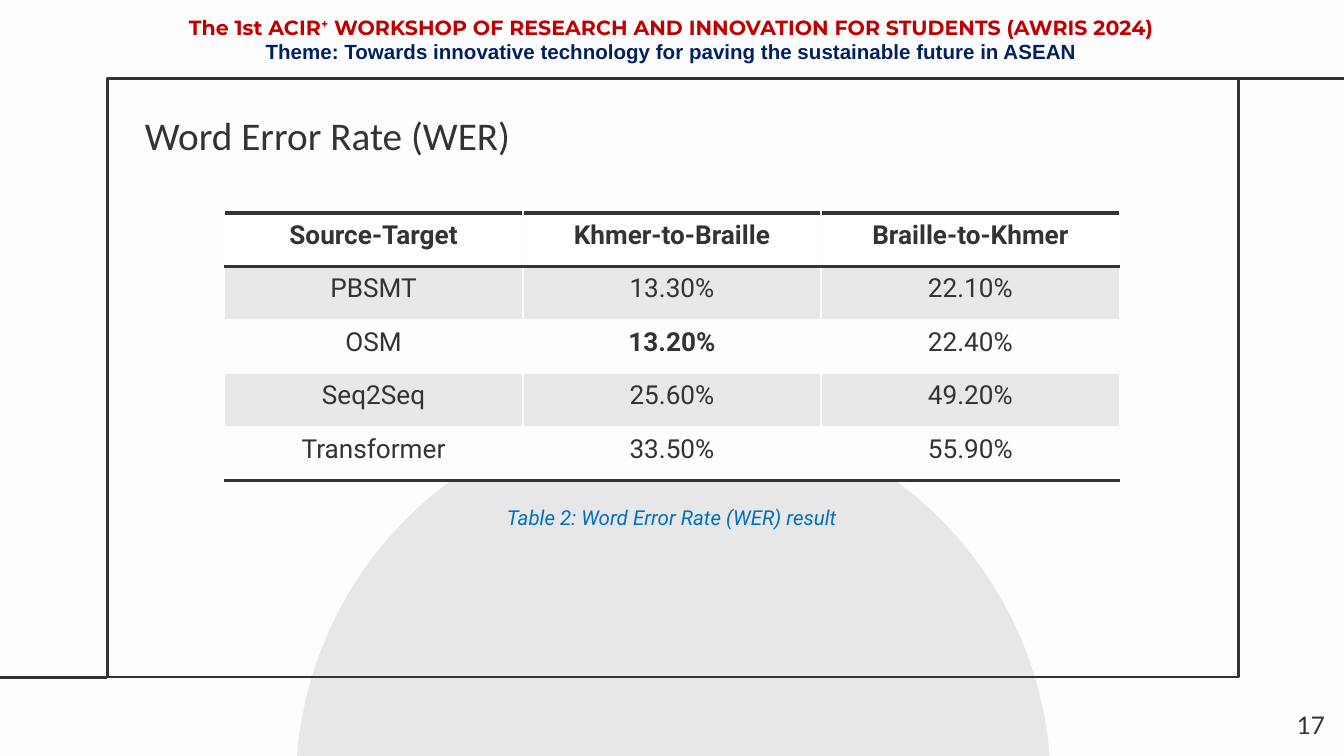
from lxml import etree
from pptx import Presentation
from pptx.dml.color import RGBColor
from pptx.enum.shapes import MSO_CONNECTOR, MSO_SHAPE
from pptx.enum.text import MSO_ANCHOR, PP_ALIGN
from pptx.oxml.ns import qn
from pptx.util import Cm, Pt

LEFT, MID, RIGHT = PP_ALIGN.LEFT, PP_ALIGN.CENTER, PP_ALIGN.RIGHT
TOP = MSO_ANCHOR.TOP
OVAL, RECT = MSO_SHAPE.OVAL, MSO_SHAPE.RECTANGLE
LINE = MSO_CONNECTOR.STRAIGHT

INK, PAPER, BAND, DISC = "333333", "FDFDFD", "E8E8E8", "E8E7E7"
WIDE, HIGH = 25.4, 14.29
ROWS = [
    ("Source-Target", "Khmer-to-Braille", "Braille-to-Khmer"),
    ("PBSMT", "13.30%", "22.10%"),
    ("OSM", "13.20%", "22.40%"),
    ("Seq2Seq", "25.60%", "49.20%"),
    ("Transformer", "33.50%", "55.90%"),
]
BEST = "13.20%"


def color(code):
    return RGBColor.from_string(code)


def write(para, text, size=14, font="Roboto", ink=INK, bold=False,
          italic=False, align=MID, lift=0):
    """Add one formatted run to a paragraph."""
    para.alignment = align
    run = para.add_run()
    run.text = text
    face = run.font
    face.size, face.name = Pt(size), font
    face.bold, face.italic = bold, italic
    face.color.rgb = color(ink)
    if lift:
        run._r.get_or_add_rPr().set("baseline", str(lift * 1000))


def set_frame(shape, pad=None):
    """Wrap text from the top, with an equal inset if given."""
    frame = shape.text_frame
    frame.word_wrap = True
    frame.vertical_anchor = TOP
    if pad is not None:
        frame.margin_left = frame.margin_right = Cm(pad)
        frame.margin_top = frame.margin_bottom = Cm(pad)
    return frame


def add_box(slide, x, y, w, h, pad=None):
    box = slide.shapes.add_textbox(Cm(x), Cm(y), Cm(w), Cm(h))
    return set_frame(box, pad)


def add_form(slide, kind, x, y, w, h, fill=None, edge=None):
    form = slide.shapes.add_shape(kind, Cm(x), Cm(y), Cm(w), Cm(h))
    form.shadow.inherit = False
    if fill:
        form.fill.solid()
        form.fill.fore_color.rgb = color(fill)
    else:
        form.fill.background()
    if edge:
        form.line.color.rgb = color(edge)
        form.line.width = Pt(1.5)
    else:
        form.line.fill.background()


def add_rule(slide, start, end, y):
    rule = slide.shapes.add_connector(LINE, Cm(start), Cm(y), Cm(end), Cm(y))
    rule.line.color.rgb = color(INK)
    rule.line.width = Pt(1.5)
    etree.SubElement(rule._element.spPr, qn("a:effectLst"))


def set_edge(cell, side, ink, width):
    edge = etree.SubElement(cell._tc.get_or_add_tcPr(), qn("a:ln" + side))
    edge.set("w", str(Pt(width)))
    fill = etree.SubElement(edge, qn("a:solidFill"))
    etree.SubElement(fill, qn("a:srgbClr")).set("val", ink)


def add_grid(slide, x, y, col, row):
    count, last = len(ROWS[0]), len(ROWS) - 1
    table = slide.shapes.add_table(
        len(ROWS), count, Cm(x), Cm(y),
        Cm(col * count), Cm(row * len(ROWS))).table
    for part in table.columns:
        part.width = Cm(col)
    for r, texts in enumerate(ROWS):
        table.rows[r].height = Cm(row)
        thick, thin = (INK, 2.15), (PAPER, 1)
        over = thick if r <= 1 else thin
        under = thick if r in (0, last) else thin
        shade = "FFFFFF" if r == 0 else BAND if r % 2 else PAPER
        for c, text in enumerate(texts):
            cell = table.cell(r, c)
            # Borders go before the fill in the cell's XML
            for side, look in zip("LRTB", (thin, thin, over, under)):
                set_edge(cell, side, *look)
            cell.fill.solid()
            cell.fill.fore_color.rgb = color(shade)
            write(cell.text_frame.paragraphs[0], text,
                  bold=r == 0 or text == BEST)


def add_title(slide, text):
    title = slide.shapes.title
    title.left, title.top = Cm(2.49), Cm(1.73)
    title.width, title.height = Cm(21.41), Cm(1.6)
    para = set_frame(title, 0.25).paragraphs[0]
    para.line_spacing = 1.15
    write(para, text, size=21, font="Calibri", align=LEFT)


def add_head(slide):
    frame = add_box(slide, 1.96, 0.15, 21.46, 1.24)
    first, theme = frame.paragraphs[0], frame.add_paragraph()
    look = dict(size=11, font="Montserrat", ink="C00000", bold=True)
    write(first, "The 1st ACIR", **look)
    write(first, "+", lift=30, **look)
    write(first, " WORKSHOP OF RESEARCH AND INNOVATION FOR STUDENTS "
          "(AWRIS 2024)", **look)
    write(theme, "Theme: Towards innovative technology for paving the "
          "sustainable future in ASEAN",
          size=11, font="Arial", ink="002060", bold=True)


def main():
    deck = Presentation()
    deck.slide_width, deck.slide_height = Cm(WIDE), Cm(HIGH)
    slide = deck.slides.add_slide(deck.slide_layouts[5])
    slide.background.fill.solid()
    slide.background.fill.fore_color.rgb = color(PAPER)

    # Backdrop: disc, frame and its two long rules
    left, top, wide, high = 2.03, 1.48, 21.38, 11.32
    add_form(slide, OVAL, 5.59, 7.72, 14.27, 14.27, fill=DISC)
    add_form(slide, RECT, left, top, wide, high, edge=INK)
    add_rule(slide, WIDE, left + wide, top)
    add_rule(slide, left, 0, top + high)

    # Page number
    page = add_box(slide, 23.77, 13.18, 1.52, 1.09, pad=0.25)
    write(page.paragraphs[0], "17", size=13, font="Lato", align=RIGHT)

    # Results
    add_grid(slide, 4.24, 4.03, 5.64, 1.01)
    add_title(slide, "Word Error Rate (WER)")
    note = add_box(slide, 7.72, 9.42, 9.96, 0.74)
    write(note.paragraphs[0], "Table 2: Word Error Rate (WER) result",
          size=11, ink="0070C0", italic=True)

    # Event banner
    add_head(slide)
    deck.save("out.pptx")


if __name__ == "__main__":
    main()
